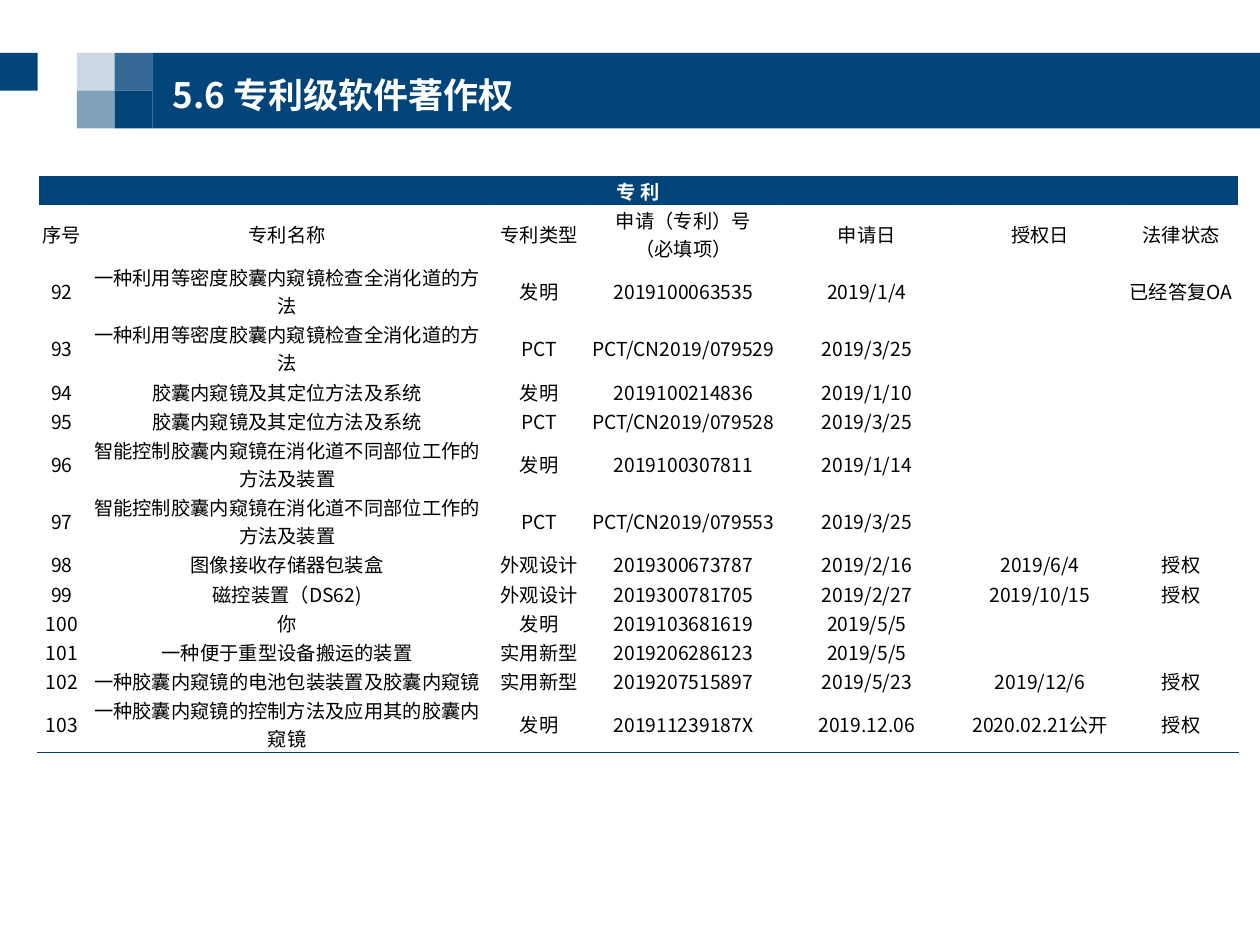
import pptx
import pptx.util
import pptx.dml.color
import pptx.enum.shapes
import pptx.enum.text
import pptx.oxml.ns
from lxml import etree

Inches, Pt = pptx.util.Inches, pptx.util.Pt
qn = pptx.oxml.ns.qn
FONT = "Noto Sans CJK SC"
COLORS = {"navy": "00447A", "white": "FFFFFF", "black": "000000"}


def add_run(paragraph, text, size, color, bold=False):
    run = paragraph.add_run()
    run.text = text
    run.font.name = FONT
    run.font.size = Pt(size)
    run.font.bold = bold
    run.font.color.rgb = pptx.dml.color.RGBColor.from_string(COLORS[color])
    etree.SubElement(run.font._element, qn("a:ea"), typeface=FONT)


def add_border(cell, side):
    """Draw a navy 1 pt line on one side: lnT or lnB."""
    line = etree.Element(qn("a:" + side), w=str(Pt(1)))
    fill = etree.SubElement(line, qn("a:solidFill"))
    etree.SubElement(fill, qn("a:srgbClr"), val=COLORS["navy"])
    cell._tc.get_or_add_tcPr().insert(0, line)


prs = pptx.Presentation()
prs.slide_width, prs.slide_height = Inches(10), Inches(7.5)
slide = prs.slides.add_slide(prs.slide_layouts[6])
navy = pptx.dml.color.RGBColor.from_string(COLORS["navy"])

# Heading band: left, top, width, height, opacity in percent
band = [
    (0, 0.42, 0.3, 0.3, 100),
    (0.61, 0.42, 0.3, 0.3, 20),
    (0.61, 0.72, 0.3, 0.3, 50),
    (0.91, 0.42, 0.3, 0.3, 80),
    (0.91, 0.72, 0.3, 0.3, 100),
    (1.21, 0.42, 8.79, 0.6, 100),
]
for *place, opacity in band:
    block = slide.shapes.add_shape(
        pptx.enum.shapes.MSO_SHAPE.RECTANGLE, *[Inches(v) for v in place])
    block.shadow.inherit = False
    block.line.fill.background()
    block.fill.solid()
    block.fill.fore_color.rgb = navy
    if opacity < 100:
        color = block._element.spPr.find(".//" + qn("a:srgbClr"))
        etree.SubElement(color, qn("a:alpha"), val=str(opacity * 1000))

# Patent table
headings = ["序号", "专利名称", "专利类型", "申请（专利）号\n（必填项）",
            "申请日", "授权日", "法律状态"]
capsule_check = "一种利用等密度胶囊内窥镜检查全消化道的方法"
positioning = "胶囊内窥镜及其定位方法及系统"
smart_control = "智能控制胶囊内窥镜在消化道不同部位工作的方法及装置"
patents = [
    (capsule_check, "发明", "2019100063535", "2019/1/4", "", "已经答复OA"),
    (capsule_check, "PCT", "PCT/CN2019/079529", "2019/3/25", "", ""),
    (positioning, "发明", "2019100214836", "2019/1/10", "", ""),
    (positioning, "PCT", "PCT/CN2019/079528", "2019/3/25", "", ""),
    (smart_control, "发明", "2019100307811", "2019/1/14", "", ""),
    (smart_control, "PCT", "PCT/CN2019/079553", "2019/3/25", "", ""),
    ("图像接收存储器包装盒", "外观设计", "2019300673787", "2019/2/16", "2019/6/4", "授权"),
    ("磁控装置（DS62)", "外观设计", "2019300781705", "2019/2/27", "2019/10/15", "授权"),
    ("你", "发明", "2019103681619", "2019/5/5", "", ""),
    ("一种便于重型设备搬运的装置", "实用新型", "2019206286123", "2019/5/5", "", ""),
    ("一种胶囊内窥镜的电池包装装置及胶囊内窥镜", "实用新型", "2019207515897",
     "2019/5/23", "2019/12/6", "授权"),
    ("一种胶囊内窥镜的控制方法及应用其的胶囊内窥镜", "发明", "201911239187X",
     "2019.12.06", "2020.02.21公开", "授权"),
]
rows = [["专 利"] + [""] * 6, headings]
rows += [(str(number), *patent) for number, patent in enumerate(patents, 92)]
column_widths = [0.38, 3.2, 0.8, 1.49, 1.42, 1.33, 0.91]
two_line_rows = {1, 2, 3, 6, 7, 13}
row_heights = [0.45 if r in two_line_rows else 0.23 for r in range(len(rows))]

table = slide.shapes.add_table(
    len(rows), len(column_widths), Inches(0.3), Inches(1.4),
    Inches(sum(column_widths)), Inches(sum(row_heights))).table
table.first_row = table.horz_banding = False
for column, width in zip(table.columns, column_widths):
    column.width = Inches(width)
for row, height in zip(table.rows, row_heights):
    row.height = Inches(height)
table.cell(0, 0).merge(table.cell(0, len(column_widths) - 1))

for r, values in enumerate(rows):
    inset = 0.01 if r > 1 else 0
    for c, value in enumerate(values):
        cell = table.cell(r, c)
        cell.margin_left = cell.margin_right = cell.margin_top = Inches(inset)
        cell.margin_bottom = 0
        cell.vertical_anchor = pptx.enum.text.MSO_ANCHOR.MIDDLE
        if r == 0:
            cell.fill.solid()
            cell.fill.fore_color.rgb = navy
            add_border(cell, "lnT")
        else:
            cell.fill.background()
        if r == len(rows) - 1:
            add_border(cell, "lnB")
        paragraph = cell.text_frame.paragraphs[0]
        paragraph.alignment = pptx.enum.text.PP_ALIGN.CENTER
        if not value:
            etree.SubElement(paragraph._p, qn("a:endParaRPr"), sz="1100")
            continue
        for i, line in enumerate(value.split("\n")):
            if i:
                paragraph.add_line_break()
            add_run(paragraph, line, 11, "black" if r else "white", bold=r == 0)

# Slide title
title = slide.shapes.add_textbox(
    Inches(1.27), Inches(0.53), Inches(4.23), Inches(0.44)).text_frame
title.word_wrap = True
title.vertical_anchor = pptx.enum.text.MSO_ANCHOR.MIDDLE
heading = title.paragraphs[0]
indent = heading._p.get_or_add_pPr()
indent.set("marL", str(Inches(0.08)))
indent.set("indent", str(-Inches(0.08)))
add_run(heading, "5.6 专利级软件著作权", 20, "white", bold=True)

prs.save("out.pptx")
